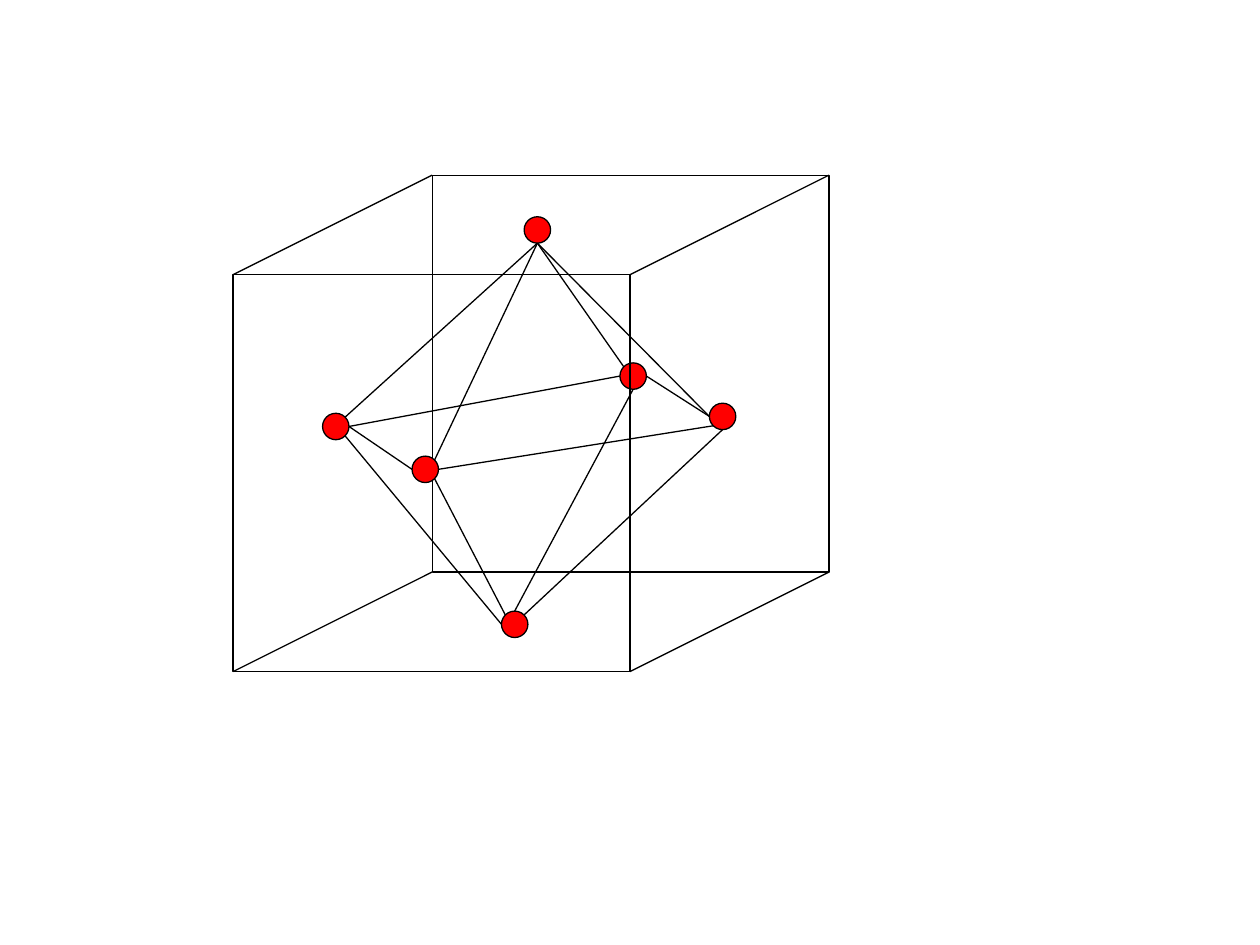
from math import sqrt

from lxml.etree import SubElement
from pptx import Presentation
from pptx.dml.color import RGBColor
from pptx.enum.shapes import MSO_CONNECTOR, MSO_SHAPE
from pptx.oxml.ns import qn
from pptx.util import Inches, Pt

BLACK = RGBColor(0x00, 0x00, 0x00)
RED = RGBColor(0xFF, 0x00, 0x00)
LINE_WIDTH = Pt(0.75)

# Cube: two equal square faces joined at their corners
FACE_SIZE = 3.15
BACK_FACE = (3.43, 1.39)
FRONT_FACE = (1.85, 2.18)

# Octahedron: atom corners (left, top) and the atom diameter
ATOM_SIZE = 0.21
ATOMS = {
    "top": (4.16, 1.72),
    "right": (5.63, 3.2),
    "left": (2.56, 3.28),
    "back": (4.92, 2.88),
    "front": (3.27, 3.62),
    "bottom": (3.98, 4.85),
}

# Points on an atom's rim, as directions from its centre
DIAGONAL = 1 / sqrt(2)
RIM = {
    "N": (0, -1),
    "S": (0, 1),
    "W": (-1, 0),
    "E": (1, 0),
    "NW": (-DIAGONAL, -DIAGONAL),
    "NE": (DIAGONAL, -DIAGONAL),
    "SW": (-DIAGONAL, DIAGONAL),
    "SE": (DIAGONAL, DIAGONAL),
}

# Each bond runs from a rim point of one atom to a rim point of another
BONDS = [
    ("top", "S", "left", "NE"),
    ("top", "S", "front", "NE"),
    ("top", "S", "back", "NW"),
    ("top", "S", "right", "W"),
    ("front", "SE", "bottom", "NW"),
    ("bottom", "NE", "right", "S"),
    ("bottom", "N", "back", "S"),
    ("bottom", "W", "left", "SE"),
    ("back", "E", "right", "W"),
    ("right", "SW", "front", "E"),
    ("front", "W", "left", "E"),
    ("back", "W", "left", "E"),
]


def set_line(shape):
    shape.line.color.rgb = BLACK
    shape.line.width = LINE_WIDTH


def add_outlined_shape(slide, kind, position, size, fill=None):
    left, top = position
    shape = slide.shapes.add_shape(
        kind, Inches(left), Inches(top), Inches(size), Inches(size))
    shape.shadow.inherit = False
    if fill is None:
        shape.fill.background()
    else:
        shape.fill.solid()
        shape.fill.fore_color.rgb = fill
    set_line(shape)


def add_edge(slide, start, end):
    connector = slide.shapes.add_connector(
        MSO_CONNECTOR.STRAIGHT, *(Inches(value) for value in (*start, *end)))
    set_line(connector)
    SubElement(connector._element.spPr, qn("a:effectLst"))


def add_face(slide, position):
    add_outlined_shape(slide, MSO_SHAPE.RECTANGLE, position, FACE_SIZE)


def add_cube_edge(slide, across, down):
    """Join matching corners of the back and front faces."""
    start, end = ((left + across * FACE_SIZE, top + down * FACE_SIZE)
                  for left, top in (BACK_FACE, FRONT_FACE))
    add_edge(slide, start, end)


def rim_point(atom, direction):
    left, top = ATOMS[atom]
    across, down = RIM[direction]
    radius = ATOM_SIZE / 2
    return left + radius * (1 + across), top + radius * (1 + down)


def main():
    presentation = Presentation()
    presentation.slide_width = Inches(10)
    presentation.slide_height = Inches(7.5)
    slide = presentation.slides.add_slide(presentation.slide_layouts[6])

    # Back of the cube and its slanted edges
    add_face(slide, BACK_FACE)
    for down in (0, 1):
        for across in (1, 0):
            add_cube_edge(slide, across, down)

    # Atoms, behind the front face
    for position in ATOMS.values():
        add_outlined_shape(slide, MSO_SHAPE.OVAL, position, ATOM_SIZE, RED)
    add_face(slide, FRONT_FACE)

    # Bonds of the octahedron
    for first, first_side, second, second_side in BONDS:
        add_edge(slide, rim_point(first, first_side),
                 rim_point(second, second_side))

    presentation.save("out.pptx")


if __name__ == "__main__":
    main()
